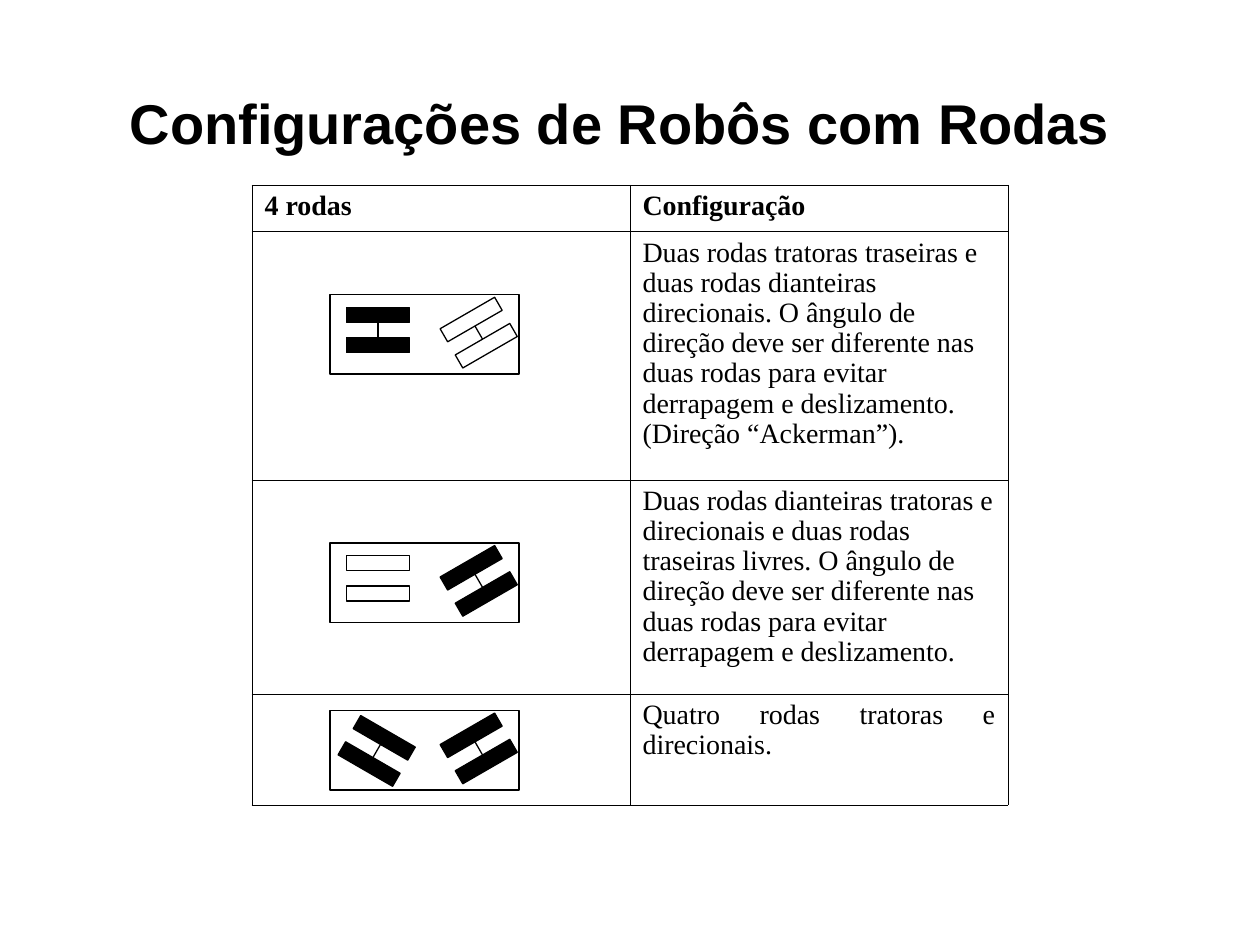
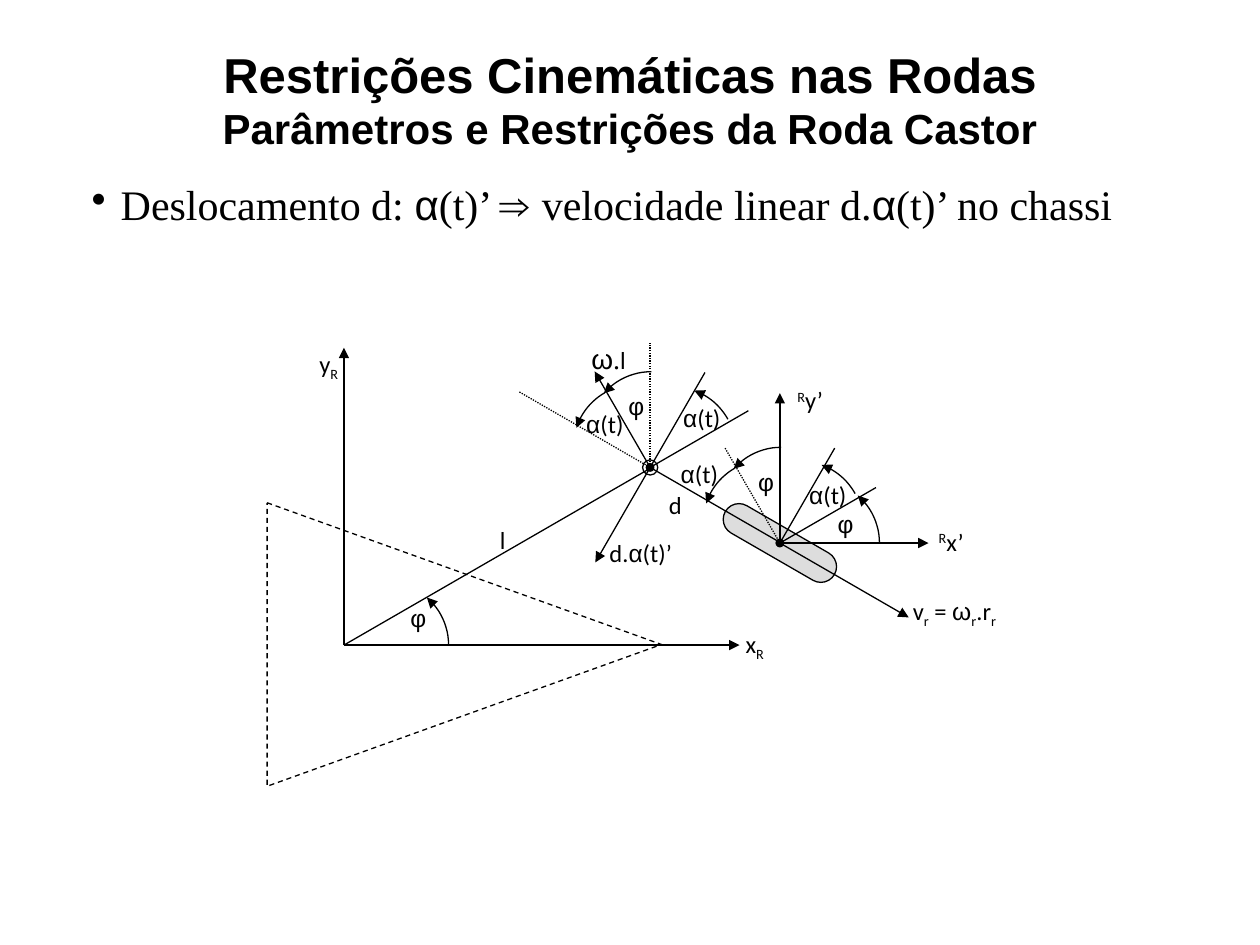
import math

import pptx
import pptx.dml.color
import pptx.enum.dml
import pptx.enum.shapes
import pptx.enum.text
import pptx.oxml
import pptx.oxml.ns
import pptx.util
from pptx.util import Inches, Pt

BLACK, WHITE, GRAY = "000000", "FFFFFF", "DDDDDD"
SANS, SERIF, LABEL = "Arial", "Times New Roman", "Calibri"
SHAPE = pptx.enum.shapes.MSO_SHAPE
DASH = pptx.enum.dml.MSO_LINE
ALIGN = pptx.enum.text.PP_ALIGN
ANCHOR = pptx.enum.text.MSO_ANCHOR
TITLE_BOX = (0.5, 0.3, 9, 1.25)


def color(hex_code):
    return pptx.dml.color.RGBColor.from_string(hex_code)


def xml(tag, **attributes):
    element = pptx.oxml.parse_xml(
        f'<a:{tag} xmlns:a="http://schemas.openxmlformats.org/drawingml/2006/main"/>')
    for name, value in attributes.items():
        element.set(name, str(value))
    return element


def format_font(font, name, size, bold=False):
    font.name, font.size, font.bold = name, Pt(size), bold
    font.color.rgb = color(BLACK)


def format_line(line, dash=None):
    line.width = Pt(0.75)
    line.color.rgb = color(BLACK)
    if dash:
        line.dash_style = dash


def add_arrowhead(shape, end):
    """Put a triangle on the headEnd or tailEnd of a line."""
    shape.line._get_or_add_ln().append(xml(end, type="triangle"))


def add_text_box(slide, box, anchor=ANCHOR.TOP):
    frame = slide.shapes.add_textbox(*map(Inches, box)).text_frame
    frame.word_wrap = True
    frame.vertical_anchor = anchor
    return frame


def write_pieces(paragraph, text, font_name, size):
    """Split text at | into runs; _ lowers a run, ^ raises it, symbols are sans."""
    for piece in text.split("|"):
        run = paragraph.add_run()
        run.text = piece.lstrip("_^")
        format_font(run.font, SANS if piece[0] in "αφω⇒" else font_name, size)
        baseline = {"_": -25000, "^": 30000}.get(piece[0])
        if baseline:
            run._r.get_or_add_rPr().set("baseline", str(baseline))


def add_title(slide, text, sizes, anchor):
    """Write a bold centred title, one size for each line."""
    frame = add_text_box(slide, TITLE_BOX, anchor)
    frame.text = text
    paragraph = frame.paragraphs[0]
    paragraph.alignment = ALIGN.CENTER
    for run, size in zip(paragraph.runs, sizes):
        format_font(run.font, SANS, size, True)
    return paragraph


def add_outline(slide, kind, box, fill=None, rotation=0, dash=None):
    shape = slide.shapes.add_shape(kind, *map(Inches, box))
    shape.shadow.inherit = False
    shape.rotation = rotation
    if fill:
        shape.fill.solid()
        shape.fill.fore_color.rgb = color(fill)
    else:
        shape.fill.background()
    format_line(shape.line, dash)
    return shape


def add_line(slide, start, end, dash=None, arrow=False):
    connector = slide.shapes.add_connector(
        pptx.enum.shapes.MSO_CONNECTOR.STRAIGHT, *map(Inches, (*start, *end)))
    format_line(connector.line, dash)
    if arrow:
        add_arrowhead(connector, "tailEnd")
    connector._element.spPr.append(xml("effectLst"))


def polar(center, angle, length):
    """Point at a clockwise angle in degrees from the centre."""
    turn = math.radians(angle)
    return center[0] + length * math.cos(turn), center[1] + length * math.sin(turn)


# Slide 1: wheel configurations

TABLE_BOX = (2, 1.47, 6, 4.92)
ROW_HEIGHTS = (0.37, 1.97, 1.7, 0.88)
HEADINGS = ("4 rodas", "Configuração")
REAR, FRONT = (0.38, 0.28), (1.18, 0.3)
# description, chassis offset in its row, wheel pairs (centre, angle, fill, has axle)
CONFIGURATIONS = [
    ("Duas rodas tratoras traseiras e duas rodas dianteiras direcionais. "
     "O ângulo de direção deve ser diferente nas duas rodas para evitar "
     "derrapagem e deslizamento. (Direção “Ackerman”).",
     0.5, [(REAR, 0, BLACK, True), (FRONT, -30, WHITE, True)]),
    ("Duas rodas dianteiras tratoras e direcionais e duas rodas traseiras "
     "livres. O ângulo de direção deve ser diferente nas duas rodas para "
     "evitar derrapagem e deslizamento.",
     0.5, [(REAR, 0, WHITE, False), (FRONT, -30, BLACK, True)]),
    ("Quatro rodas tratoras e direcionais.",
     0.13, [((0.37, 0.32), 30, BLACK, True), (FRONT, -30, BLACK, True)]),
]


def format_cell(cell):
    cell.fill.background()
    for side in ("lnL", "lnR", "lnT", "lnB"):
        border = xml(side, w=Pt(0.45))
        fill = xml("solidFill")
        fill.append(xml("srgbClr", val=BLACK))
        border.append(fill)
        # borders precede the fill in a cell's properties
        properties = cell._tc.get_or_add_tcPr()
        properties.insert(len(properties) - 1, border)


def write_cell(cell, text, alignment, bold=False):
    cell.text_frame.text = text
    paragraph = cell.text_frame.paragraphs[0]
    paragraph.alignment = alignment
    paragraph.line_spacing = 0.97
    format_font(paragraph.runs[0].font, SERIF, 16, bold)


def add_configuration_table(slide, box):
    table = slide.shapes.add_table(
        len(ROW_HEIGHTS), len(HEADINGS), *map(Inches, box)).table
    table.first_row = table.horz_banding = False
    for column in table.columns:
        column.width = Inches(box[2] / len(HEADINGS))
    for row, height in zip(table.rows, ROW_HEIGHTS):
        row.height = Inches(height)
    for cell in table.iter_cells():
        format_cell(cell)
    for column, heading in enumerate(HEADINGS):
        write_cell(table.cell(0, column), heading, ALIGN.JUSTIFY, True)
    last = len(CONFIGURATIONS)
    for row, (description, _, _) in enumerate(CONFIGURATIONS, 1):
        write_cell(table.cell(row, 1), description,
                   ALIGN.JUSTIFY if row == last else ALIGN.LEFT)


def add_wheel_pair(slide, center, angle, fill, has_axle):
    hubs = [polar(center, angle + 90, distance) for distance in (-0.12, 0.12)]
    if has_axle:
        add_line(slide, *hubs)
    for x, y in hubs:
        add_outline(slide, SHAPE.RECTANGLE, (x - 0.25, y - 0.06, 0.5, 0.12),
                    fill, angle % 360)


def add_chassis(slide, left, top, wheel_pairs):
    add_outline(slide, SHAPE.RECTANGLE, (left, top, 1.5, 0.63), WHITE)
    for (x, y), angle, fill, has_axle in wheel_pairs:
        add_wheel_pair(slide, (left + x, top + y), angle, fill, has_axle)


def build_configurations(slide):
    title = add_title(slide, "Configurações de Robôs com Rodas", [32], ANCHOR.MIDDLE)
    write_pieces(title, " ", SANS, 40)
    add_configuration_table(slide, TABLE_BOX)
    left, top = TABLE_BOX[:2]
    for row, (_, offset, wheel_pairs) in enumerate(CONFIGURATIONS, 1):
        row_top = top + sum(ROW_HEIGHTS[:row])
        add_chassis(slide, left + 0.62, row_top + offset, wheel_pairs)


# Slide 2: castor wheel; places are relative to the origin of the robot frame

ORIGIN = (2.73, 5.12)
PIVOT, WHEEL = (2.43, -1.41), (3.46, -0.81)
DOT = DASH.ROUND_DOT
# start, angle, length, dash, arrow
RAYS = [
    ((0, 0), -90, 2.36, None, True), ((0, 0), 0, 3.14, None, True),
    ((0, 0), -30, 2.81, None, False),
    (PIVOT, 30, 1.2, None, False), (PIVOT, -30, 0.9, None, False),
    (PIVOT, -60, 0.87, None, False), (PIVOT, -90, 0.99, DOT, False),
    (PIVOT, -120, 0.88, None, True), (PIVOT, -150, 1.2, DOT, False),
    (PIVOT, 120, 0.87, None, True),
    (WHEEL, 30, 1.18, None, True), (WHEEL, 0, 1.18, None, True),
    (WHEEL, -30, 0.88, None, False), (WHEEL, -60, 0.87, None, False),
    (WHEEL, -90, 1.19, None, True), (WHEEL, -120, 0.87, DOT, False),
]
# start and end angle, centres of the arcs that span them
ARCS = [
    (-49, 0, [(0.33, 0), (3.75, -0.81)]),
    (-70, -29, [(3.62, -0.96), (2.61, -1.55)]),
    (198, 240, [(3.35, -0.97), (2.32, -1.57)]),
    (221, 270, [(3.47, -1.07), (2.44, -1.67)]),
]
# text, width, height, places
LABELS = [
    ("φ", 0.6, 0.5, [(0.29, -0.38)]),
    ("φ", 0.34, 0.32, [(3.81, -1.13), (3.18, -1.46), (2.15, -2.07)]),
    ("α|(t)", 0.62, 0.31,
     [(3.53, -1.36), (2.51, -1.53), (2.53, -1.97), (1.76, -1.92)]),
    ("d.|α|(t)’", 0.81, 0.31, [(1.95, -0.9)]),
    ("x|_R", 0.5, 0.4, [(3.01, -0.18)]),
    ("y|_R", 0.5, 0.4, [(-0.37, -2.4)]),
    ("l", 0.5, 0.4, [(1.01, -1)]),
    ("d", 0.5, 0.4, [(2.38, -1.28)]),
    ("^R|x’", 0.5, 0.4, [(4.57, -0.99)]),
    ("^R|y’", 0.5, 0.4, [(3.45, -2.11)]),
    ("v|_r| = |ω|_r|.r|_r", 1.09, 0.5, [(4.3, -0.44)]),
]


def add_bullet(slide, box, text):
    paragraph = add_text_box(slide, box, ANCHOR.MIDDLE).paragraphs[0]
    paragraph.alignment = ALIGN.JUSTIFY
    properties = paragraph._p.get_or_add_pPr()
    properties.set("marL", str(Inches(0.23)))
    properties.set("indent", str(-Inches(0.23)))
    properties.append(xml("buChar", char="•"))
    write_pieces(paragraph, text, SERIF, 24)


def add_arc(slide, center, start, end, radius=0.5, steps=12):
    """Draw a clockwise arc with an arrowhead at its start."""
    points = [tuple(map(Inches, polar(center, start + (end - start) * i / steps, radius)))
              for i in range(steps + 1)]
    builder = slide.shapes.build_freeform(*points[0])
    builder.add_line_segments(points[1:], close=False)
    arc = builder.convert_to_shape()
    arc.shadow.inherit = False
    arc.fill.background()
    format_line(arc.line)
    add_arrowhead(arc, "headEnd")


def add_label(slide, box, text):
    paragraph = add_text_box(slide, box).paragraphs[0]
    paragraph.alignment = ALIGN.CENTER
    write_pieces(paragraph, text, LABEL, 14)
    return paragraph


def add_castor_diagram(slide, origin):
    def place(point):
        return origin[0] + point[0], origin[1] + point[1]

    def centered(point, width, height):
        x, y = place(point)
        return x - width / 2, y - height / 2, width, height

    tire = add_outline(slide, SHAPE.ROUNDED_RECTANGLE, centered(WHEEL, 1, 0.25), GRAY, 30)
    tire.adjustments[0] = 0.5
    add_outline(slide, SHAPE.ISOSCELES_TRIANGLE, (*place((-0.17, -1.57)), 2.25, 3.13),
                WHITE, 90, DASH.DASH)
    for start, angle, length, dash, arrow in RAYS:
        add_line(slide, place(start), polar(place(start), angle, length), dash, arrow)
    for center, size, fill in ((WHEEL, 0.06, BLACK), (PIVOT, 0.06, BLACK), (PIVOT, 0.12, None)):
        add_outline(slide, SHAPE.OVAL, centered(center, size, size), fill)
    for start, end, centers in ARCS:
        for center in centers:
            add_arc(slide, place(center), start, end)
    for text, width, height, places in LABELS:
        for point in places:
            add_label(slide, (*place(point), width, height), text)
    speed = add_label(slide, (*place((1.79, -2.46)), 0.62, 0.4), "ω|.|l")
    for run, name in zip(speed.runs, (SANS, SERIF)):
        format_font(run.font, name, 16)


def build_castor(slide):
    add_title(slide, "Restrições Cinemáticas nas Rodas\vParâmetros e Restrições da Roda Castor",
              [28, 24], ANCHOR.TOP)
    add_bullet(slide, (0.63, 1.37, 9.06, 0.5),
               "Deslocamento d: |α|(t)’ |⇒ |velocidade linear d.|α|(t)’ no chassi")
    add_castor_diagram(slide, ORIGIN)


def main():
    presentation = pptx.Presentation()
    presentation.slide_width, presentation.slide_height = Inches(10), Inches(7.5)
    for build in (build_configurations, build_castor):
        build(presentation.slides.add_slide(presentation.slide_layouts[6]))
    presentation.save("out.pptx")


if __name__ == "__main__":
    main()
